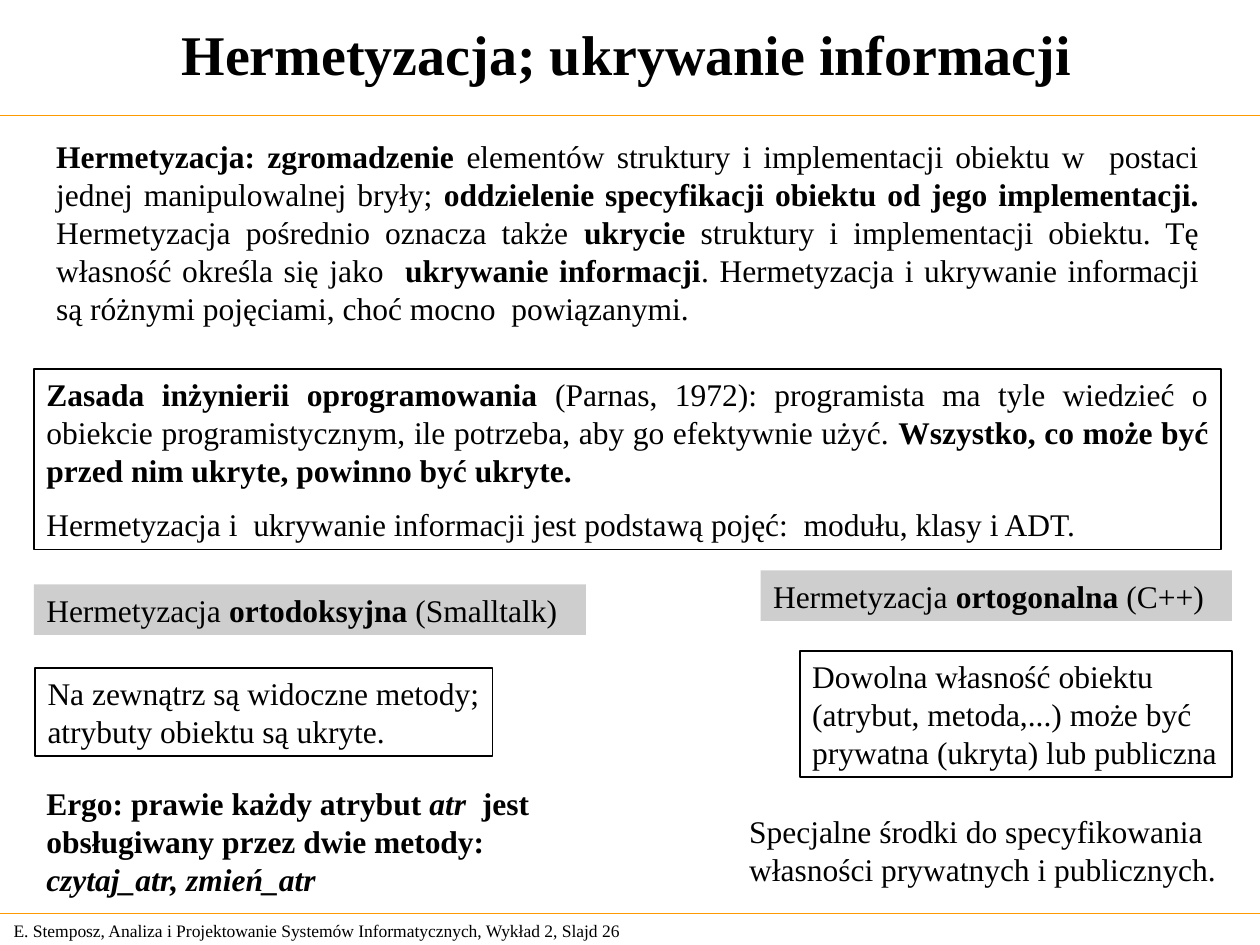
"""Build the lecture slide on encapsulation and information hiding."""
from dataclasses import dataclass
from typing import Optional

from lxml import etree
from pptx import Presentation
from pptx import util as u
from pptx.dml.color import RGBColor
from pptx.enum import shapes, text
from pptx.oxml import ns

COLORS = {"ink": "000000", "rule": "FF9900", "paper": "FFFFFF", "label": "CECECE"}
FONT = "Times New Roman"
LEFT, CENTER, JUSTIFY = text.PP_ALIGN.LEFT, text.PP_ALIGN.CENTER, text.PP_ALIGN.JUSTIFY
TOP, MIDDLE = text.MSO_ANCHOR.TOP, text.MSO_ANCHOR.MIDDLE


@dataclass(frozen=True)
class Run:
    text: str
    bold: bool = False
    italic: bool = False


@dataclass(frozen=True)
class Para:
    runs: tuple[Run, ...]
    align: text.PP_ALIGN = LEFT
    before: float = 0


@dataclass(frozen=True)
class Box:
    left: float
    top: float
    width: float
    height: float
    paras: tuple[Para, ...]
    size: float = 18
    fill: Optional[str] = None
    line: Optional[str] = None
    anchor: text.MSO_ANCHOR = TOP
    wrap: bool = True
    grow: bool = True


def lines(*texts: str) -> tuple[Para, ...]:
    """Make one plain paragraph for each line."""
    return tuple(Para((Run(t),)) for t in texts)


def label(kind: str, language: str) -> tuple[Para, ...]:
    """Make the heading of one kind of encapsulation."""
    return (Para((Run("Hermetyzacja "), Run(kind, True), Run(f" ({language})"))),)


BOXES = (
    Box(0.7, 522, 377, 19.5,
        lines("E. Stemposz, Analiza i Projektowanie Systemów Informatycznych, Wykład 2, Slajd 26"),
        size=10, anchor=MIDDLE),
    Box(0, 0, 716.4, 61.2, (Para((Run("Hermetyzacja; ukrywanie informacji", True),), CENTER),),
        size=32, anchor=MIDDLE, grow=False),
    Box(25, 75, 667.4, 115.2, (Para((
        Run("Hermetyzacja: zgromadzenie", True),
        Run(" elementów struktury i implementacji obiektu w  postaci jednej manipulowalnej bryły; "),
        Run("oddzielenie specyfikacji obiektu od jego implementacji.", True),
        Run(" Hermetyzacja pośrednio oznacza także "),
        Run("ukrycie", True),
        Run(" struktury i implementacji obiektu. Tę własność określa się jako  "),
        Run("ukrywanie informacji", True),
        Run(". Hermetyzacja i ukrywanie informacji są różnymi pojęciami, choć mocno  powiązanymi."),
    ), JUSTIFY),)),
    Box(19.4, 211, 678.3, 103, (
        Para((
            Run("Zasada inżynierii oprogramowania ", True),
            Run("(Parnas, 1972): programista ma tyle wiedzieć o obiekcie programistycznym, "
                "ile potrzeba, aby go efektywnie użyć. "),
            Run("Wszystko, co może być przed nim ukryte, powinno być ukryte.", True),
        ), JUSTIFY),
        Para((Run("Hermetyzacja i  ukrywanie informacji jest podstawą pojęć:  modułu, klasy i ADT."),),
             before=9.4),
    ), fill="paper", line="ink"),
    Box(19.4, 334, 315.4, 28.8, label("ortodoksyjna", "Smalltalk"), fill="label"),
    Box(20.1, 381.6, 261.4, 50.4,
        lines("Na zewnątrz są widoczne metody;", "atrybuty obiektu są ukryte."),
        line="ink", wrap=False),
    Box(19.4, 444.6, 296, 72, (Para((
        Run("Ergo: prawie każdy atrybut ", True),
        Run("atr", True, True),
        Run("  jest obsługiwany przez dwie metody: ", True),
        Run("czytaj_atr, zmień_atr", True, True),
    )),)),
    Box(434.7, 326, 269.3, 28.8, label("ortogonalna", "C++"), fill="label"),
    Box(457, 372.2, 247, 72,
        lines("Dowolna własność obiektu", "(atrybut, metoda,...) może być",
              "prywatna (ukryta) lub publiczna"),
        line="ink", wrap=False),
    Box(421, 460.6, 282.2, 50.4,
        lines("Specjalne środki do specyfikowania", "własności prywatnych i publicznych.")),
)


def rgb(name: str) -> RGBColor:
    """Look up a named colour."""
    return RGBColor.from_string(COLORS[name])


def draw_rule(s, y: float) -> None:
    """Draw a thin rule across the slide."""
    sp = s.shapes.add_connector(shapes.MSO_CONNECTOR.STRAIGHT, 0, u.Pt(y), u.Pt(720), u.Pt(y))
    sp.line.color.rgb = rgb("rule")
    sp.line.width = u.Pt(0.75)
    etree.SubElement(sp._element.spPr, ns.qn("a:effectLst"))


def add_frame(s, box: Box):
    """Add a text box, or a rectangle when the box is filled or outlined."""
    place = [u.Pt(v) for v in (box.left, box.top, box.width, box.height)]
    if not (box.fill or box.line):
        return s.shapes.add_textbox(*place)
    sp = s.shapes.add_shape(shapes.MSO_SHAPE.RECTANGLE, *place)
    sp.shadow.inherit = False
    if box.fill:
        sp.fill.solid()
        sp.fill.fore_color.rgb = rgb(box.fill)
    else:
        sp.fill.background()
    if box.line:
        sp.line.color.rgb = rgb(box.line)
        sp.line.width = u.Pt(1)
    else:
        sp.line.fill.background()
    return sp


def draw_box(s, box: Box) -> None:
    """Draw a box with its paragraphs."""
    tf = add_frame(s, box).text_frame
    tf.word_wrap = box.wrap
    tf.auto_size = text.MSO_AUTO_SIZE.SHAPE_TO_FIT_TEXT if box.grow else text.MSO_AUTO_SIZE.NONE
    tf.vertical_anchor = box.anchor
    for i, para in enumerate(box.paras):
        p = tf.add_paragraph() if i else tf.paragraphs[0]
        p.alignment = para.align
        if para.before:
            p.space_before = u.Pt(para.before)
        for run in para.runs:
            r = p.add_run()
            r.text = run.text
            r.font.name = FONT
            r.font.size = u.Pt(box.size)
            r.font.bold = run.bold
            r.font.italic = run.italic
            r.font.color.rgb = rgb("ink")


def main() -> None:
    """Build and save the slide."""
    prs = Presentation()
    prs.slide_width, prs.slide_height = u.Pt(720), u.Pt(540)
    s = prs.slides.add_slide(prs.slide_layouts[6])
    for y in (66, 522):
        draw_rule(s, y)
    for box in BOXES:
        draw_box(s, box)
    prs.save("out.pptx")


if __name__ == "__main__":
    main()
